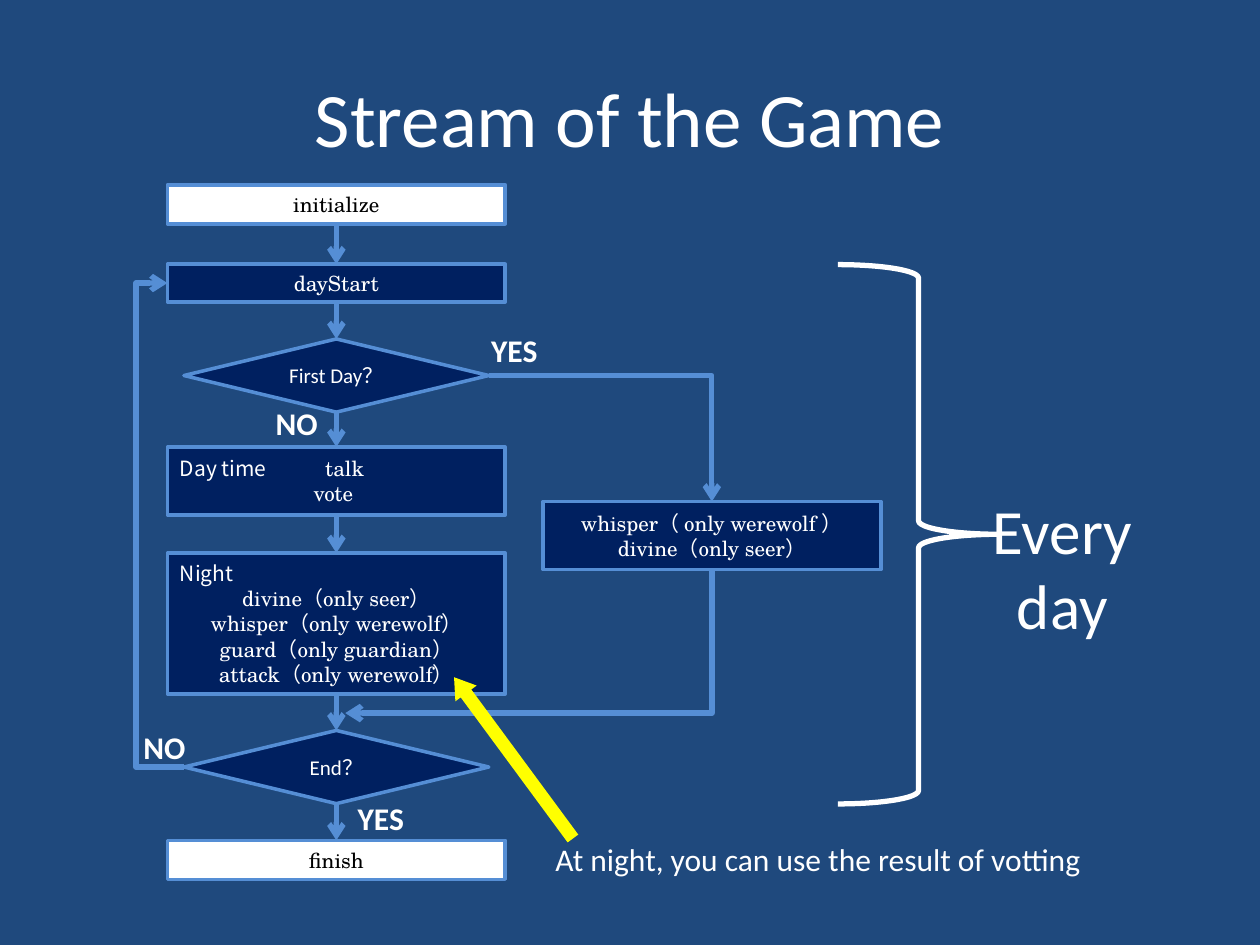
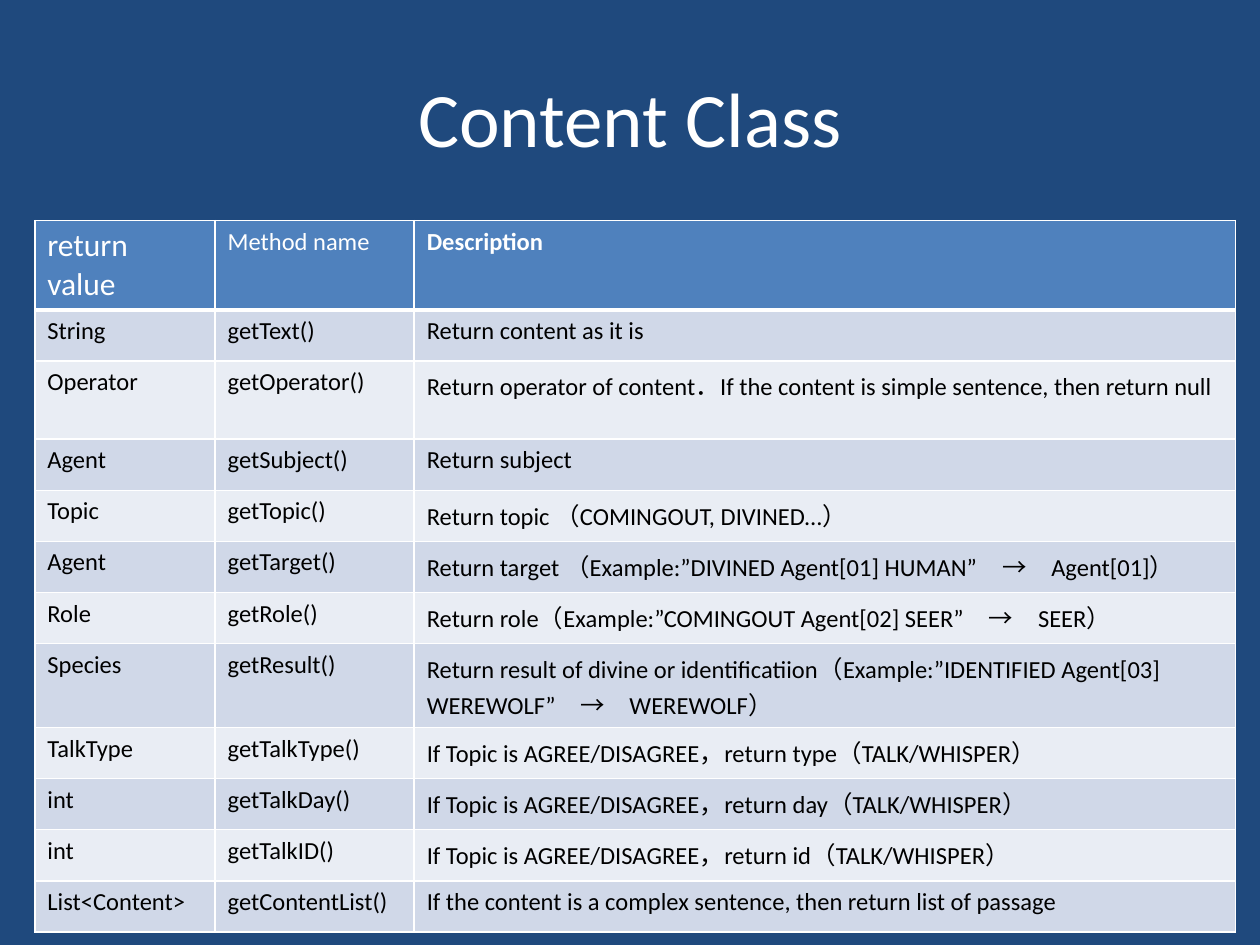
"""Build the two slides on the game flow and the Content class."""
from itertools import pairwise

from lxml.etree import SubElement
from pptx import Presentation
from pptx.dml.color import RGBColor
from pptx.enum.shapes import MSO_CONNECTOR as Link, MSO_SHAPE as Shape
from pptx.enum.text import MSO_ANCHOR as Anchor, PP_ALIGN as Align
from pptx.oxml.ns import qn
from pptx.util import Pt

BLUE = RGBColor(0x1F, 0x49, 0x7D)
NAVY = RGBColor(0x00, 0x20, 0x60)
SKY = RGBColor(0x55, 0x8E, 0xD5)
HEADER_BLUE = RGBColor(0x4F, 0x81, 0xBD)
BANDS = RGBColor(0xD0, 0xD8, 0xE8), RGBColor(0xE9, 0xED, 0xF4)
YELLOW = RGBColor(0xFF, 0xFF, 0x00)
WHITE = RGBColor(0xFF, 0xFF, 0xFF)
BLACK = RGBColor(0x00, 0x00, 0x00)
SANS, SERIF, CJK = "Calibri", "TeX Gyre Schola", "Noto Sans CJK JP"

TITLE = dict(name=SANS, size=Pt(44), color=WHITE)
EVERY_DAY = dict(name=SANS, size=Pt(36), color=WHITE)
NOTE = dict(name=SANS, size=Pt(18), color=WHITE)
ANSWER = dict(NOTE, bold=True)
CALL = dict(name=SERIF, size=Pt(12), color=WHITE)
ENDPOINT = dict(CALL, color=BLACK)
QUESTION = dict(CALL, name=SANS)
PHASE = dict(CALL, name=CJK)
CELL = dict(name=SANS, size=Pt(14), color=BLACK, bold=False)
HEAD_FORMATS = [
    dict(CELL, size=Pt(18), color=WHITE),
    dict(CELL, color=WHITE),
    dict(CELL, color=WHITE, bold=True),
]

SPINE, STEP_W, QUESTION_W = 192.2, 193, 174.2
TALK_TAB = 83
FLOW = [
    ("endpoint", 105.6, 22.3, [[("initialize", ENDPOINT)]]),
    ("step", 151, 21.6, [[("dayStart", CALL)]]),
    ("question", 193.7, 41.8, [[("First Day？", QUESTION)]]),
    ("step", 255.4, 38.9, [[("Day time\t", PHASE), ("talk", CALL)], [("vote ", CALL)]]),
    ("step", 316, 80.6, [
        [("Night", PHASE)],
        [("divine（only seer）", CALL)],
        [("whisper（only werewolf）", CALL)],
        [("guard（only guardian）", CALL)],
        [("attack（only werewolf）", CALL)],
    ]),
    ("question", 417.4, 41.8, [[("End？", QUESTION)]]),
    ("endpoint", 480.2, 22.3, [[("finish", ENDPOINT)]]),
]
KINDS = {
    "endpoint": (Shape.RECTANGLE, STEP_W, WHITE),
    "step": (Shape.RECTANGLE, STEP_W, NAVY),
    "question": (Shape.FLOWCHART_DECISION, QUESTION_W, NAVY),
}
FIRST_NIGHT_X, FIRST_NIGHT_TOP, FIRST_NIGHT_H = 406.8, 286.6, 38.9
FIRST_NIGHT = [[("whisper（ only werewolf ）", CALL)], [("divine（only seer）", CALL)]]
LOOP_X, MERGE_X, MERGE_Y = 77.8, 197.3, 407.5
CAPTIONS = [
    ("YES", 197.3, 452.9, 41, ANSWER),
    ("NO", 150.5, 227.5, 38.9, ANSWER),
    ("NO", 74.9, 412.6, 38.9, ANSWER),
    ("YES", 273.6, 185.8, 41, ANSWER),
    ("At night, you can use the result of votting", 310.3, 476.6, 319, NOTE),
]

HEADINGS = ("return value", "Method name", "Description")
METHODS = [
    ("String", "getText()", "Return content as it is"),
    ("Operator", "getOperator()",
     "Return operator of content．If the content is simple sentence, then return null"),
    ("Agent", "getSubject()", "Return subject"),
    ("Topic", "getTopic()", "Return topic （COMINGOUT, DIVINED…）"),
    ("Agent", "getTarget()",
     "Return target （Example:”DIVINED Agent[01] HUMAN”　→　Agent[01]）"),
    ("Role", "getRole()", "Return role（Example:”COMINGOUT Agent[02] SEER”　→　SEER）"),
    ("Species", "getResult()",
     "Return result of divine or identificatiion"
     "（Example:”IDENTIFIED Agent[03] WEREWOLF”　→　WEREWOLF）"),
    ("TalkType", "getTalkType()", "If Topic is AGREE/DISAGREE，return type（TALK/WHISPER）"),
    ("int", "getTalkDay()", "If Topic is AGREE/DISAGREE，return day（TALK/WHISPER）"),
    ("int", "getTalkID()", "If Topic is AGREE/DISAGREE，return id（TALK/WHISPER）"),
    ("List<Content>", "getContentList()",
     "If the content is a complex sentence, then return list of passage"),
]
COLUMN_WIDTHS = (103, 113.8, 469.4)
ROW_H = 29.2
TWO_LINE_HEIGHTS = {"Method name": 51.1, "getOperator()": 44.7, "getResult()": 48}


def points(*lengths):
    return [Pt(length) for length in lengths]


def write(paragraph, runs, align=Align.LEFT):
    paragraph.alignment = align
    for text, look in runs:
        run = paragraph.add_run()
        run.text = text
        for key, value in look.items():
            if key == "color":
                run.font.color.rgb = value
            else:
                setattr(run.font, key, value)


def add_text(slide, text, box, look, align=Align.LEFT, anchor=Anchor.TOP, wrap=True):
    frame = slide.shapes.add_textbox(*points(*box)).text_frame
    frame.word_wrap, frame.vertical_anchor = wrap, anchor
    write(frame.paragraphs[0], [(text, look)], align)


def add_shape(slide, preset, box, fill=None, line=None, width=2):
    shape = slide.shapes.add_shape(preset, *points(*box))
    shape.shadow.inherit = False
    for part, color in ((shape.fill, fill), (shape.line.fill, line)):
        if color is None:
            part.background()
        else:
            part.solid()
            part.fore_color.rgb = color
    if line is not None:
        shape.line.width = Pt(width)
    return shape


def add_step(slide, kind, center, top, height, paragraphs):
    preset, width, fill = KINDS[kind]
    shape = add_shape(slide, preset, (center - width / 2, top, width, height), fill, SKY)
    frame = shape.text_frame
    frame.word_wrap, frame.vertical_anchor = True, Anchor.MIDDLE
    for index, runs in enumerate(paragraphs):
        paragraph = frame.add_paragraph() if index else frame.paragraphs[0]
        if "\t" in runs[0][0]:
            stops = SubElement(paragraph._p.get_or_add_pPr(), qn("a:tabLst"))
            SubElement(stops, qn("a:tab"), pos=str(Pt(TALK_TAB)), algn="l")
        write(paragraph, runs, Align.LEFT if runs[0][1] is PHASE else Align.CENTER)


def add_arrow(slide, start, end, kind=Link.STRAIGHT, tip="a:tailEnd"):
    arrow = slide.shapes.add_connector(kind, *points(*start, *end))
    arrow.line.color.rgb, arrow.line.width = SKY, Pt(3)
    SubElement(arrow.line._get_or_add_ln(), qn(tip), type="arrow")
    SubElement(arrow._element.spPr, qn("a:effectLst"))
    return arrow._element.spPr.find(qn("a:prstGeom"))


def add_corner(slide, start, end, tip="a:tailEnd"):
    add_arrow(slide, start, end, Link.ELBOW, tip).set("prst", "bentConnector2")


def add_slide(deck, title):
    slide = deck.slides.add_slide(deck.slide_layouts[6])
    slide.background.fill.solid()
    slide.background.fill.fore_color.rgb = BLUE
    add_text(slide, title, (36, 21.6, 648, 90), TITLE, Align.CENTER, Anchor.MIDDLE)
    return slide


def build_stream(deck):
    slide = add_slide(deck, "Stream of the Game")
    for kind, top, height, paragraphs in FLOW:
        add_step(slide, kind, SPINE, top, height, paragraphs)
    for (_, top, height, _), (_, next_top, _, _) in pairwise(FLOW):
        add_arrow(slide, (SPINE, top + height), (SPINE, next_top))

    middles = [top + height / 2 for _, top, height, _ in FLOW]
    day_start, first_day, end = middles[1], middles[2], middles[5]
    add_step(slide, "step", FIRST_NIGHT_X, FIRST_NIGHT_TOP, FIRST_NIGHT_H, FIRST_NIGHT)
    add_corner(slide, (SPINE + QUESTION_W / 2, first_day), (FIRST_NIGHT_X, FIRST_NIGHT_TOP))
    add_corner(slide, (MERGE_X, MERGE_Y),
               (FIRST_NIGHT_X, FIRST_NIGHT_TOP + FIRST_NIGHT_H), "a:headEnd")

    loop_start, loop_end = SPINE - QUESTION_W / 2, SPINE - STEP_W / 2
    loop = add_arrow(slide, (loop_start, end), (loop_end, day_start), Link.ELBOW)
    bend = round((loop_start - LOOP_X) / (loop_start - loop_end) * 100000)
    SubElement(loop.find(qn("a:avLst")), qn("a:gd"), name="adj1", fmla=f"val {bend}")

    add_shape(slide, Shape.RIGHT_BRACE, (478.8, 151.2, 92.2, 308.2), line=WHITE, width=3)
    add_text(slide, "Every day", (553, 277.2, 108, 94.3), EVERY_DAY, Align.CENTER)
    for text, left, top, width, look in CAPTIONS:
        add_text(slide, text, (left, top, width, 28.8), look, wrap=False)
    pointer = add_shape(slide, Shape.RIGHT_ARROW, (236.2, 425.5, 114.5, 15.1), YELLOW)
    pointer.rotation = 233.6
    pointer.adjustments[1] = 0.76


def add_border(cell, side, width):
    line = SubElement(cell._tc.get_or_add_tcPr(), qn(f"a:ln{side}"), w=str(Pt(width)))
    SubElement(SubElement(line, qn("a:solidFill")), qn("a:srgbClr"), val=str(WHITE))


def build_content_class(deck):
    slide = add_slide(deck, "Content Class")
    rows = [HEADINGS, *METHODS]
    heights = [TWO_LINE_HEIGHTS.get(method, ROW_H) for _, method, _ in rows]
    table = slide.shapes.add_table(
        len(rows), len(HEADINGS), *points(19.9, 126, sum(COLUMN_WIDTHS), sum(heights))).table
    for column, width in zip(table.columns, COLUMN_WIDTHS):
        column.width = Pt(width)
    for index, (texts, height) in enumerate(zip(rows, heights)):
        table.rows[index].height = Pt(height)
        for column, text in enumerate(texts):
            cell = table.cell(index, column)
            for side in "LRTB":
                under_header = (index, side) in ((0, "B"), (1, "T"))
                add_border(cell, side, 3 if under_header else 1)
            cell.fill.solid()
            cell.fill.fore_color.rgb = BANDS[(index - 1) % 2] if index else HEADER_BLUE
            look = CELL if index else HEAD_FORMATS[column]
            write(cell.text_frame.paragraphs[0], [(text, look)])


def main():
    deck = Presentation()
    deck.slide_width, deck.slide_height = points(720, 540)
    build_stream(deck)
    build_content_class(deck)
    deck.save("out.pptx")


if __name__ == "__main__":
    main()
